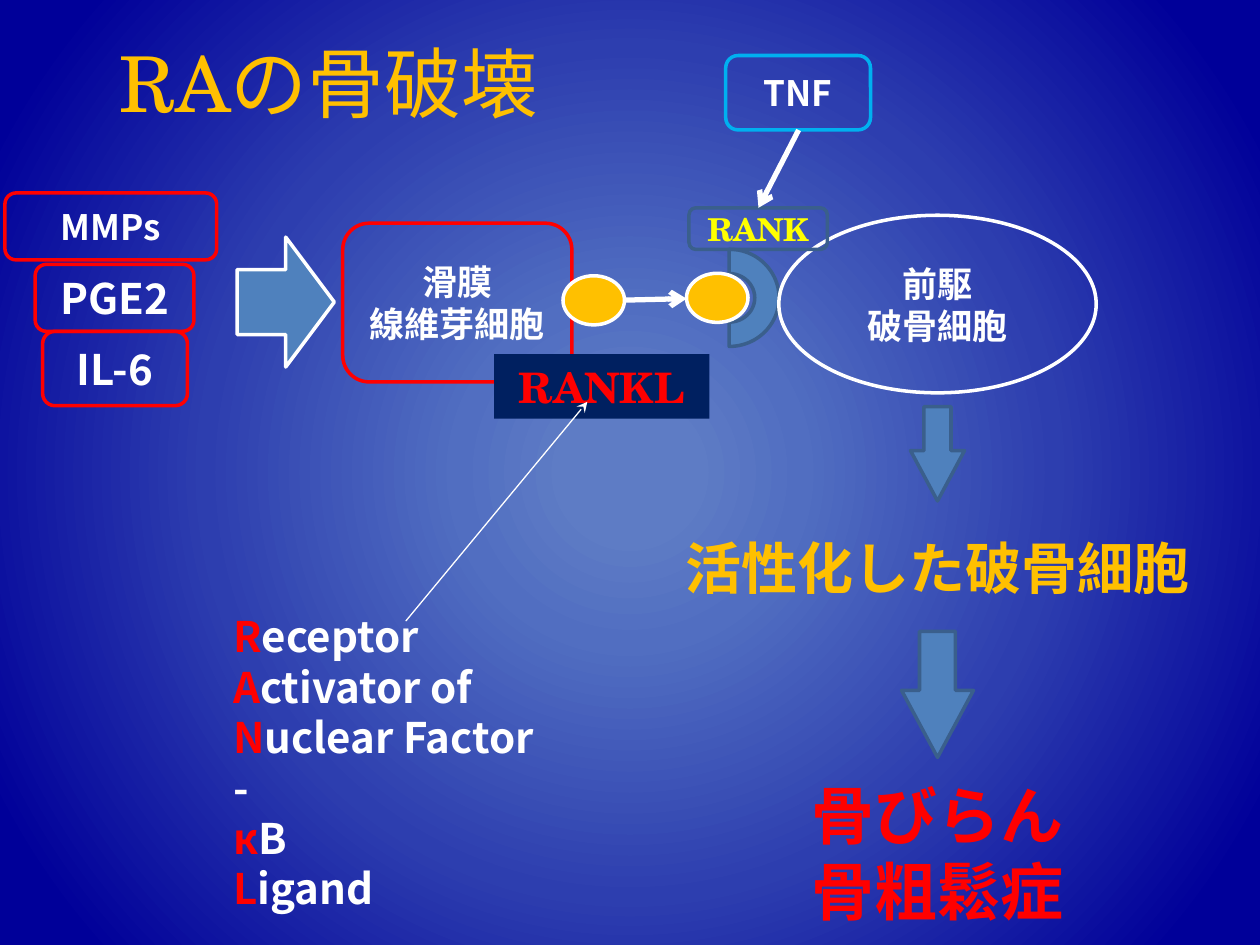
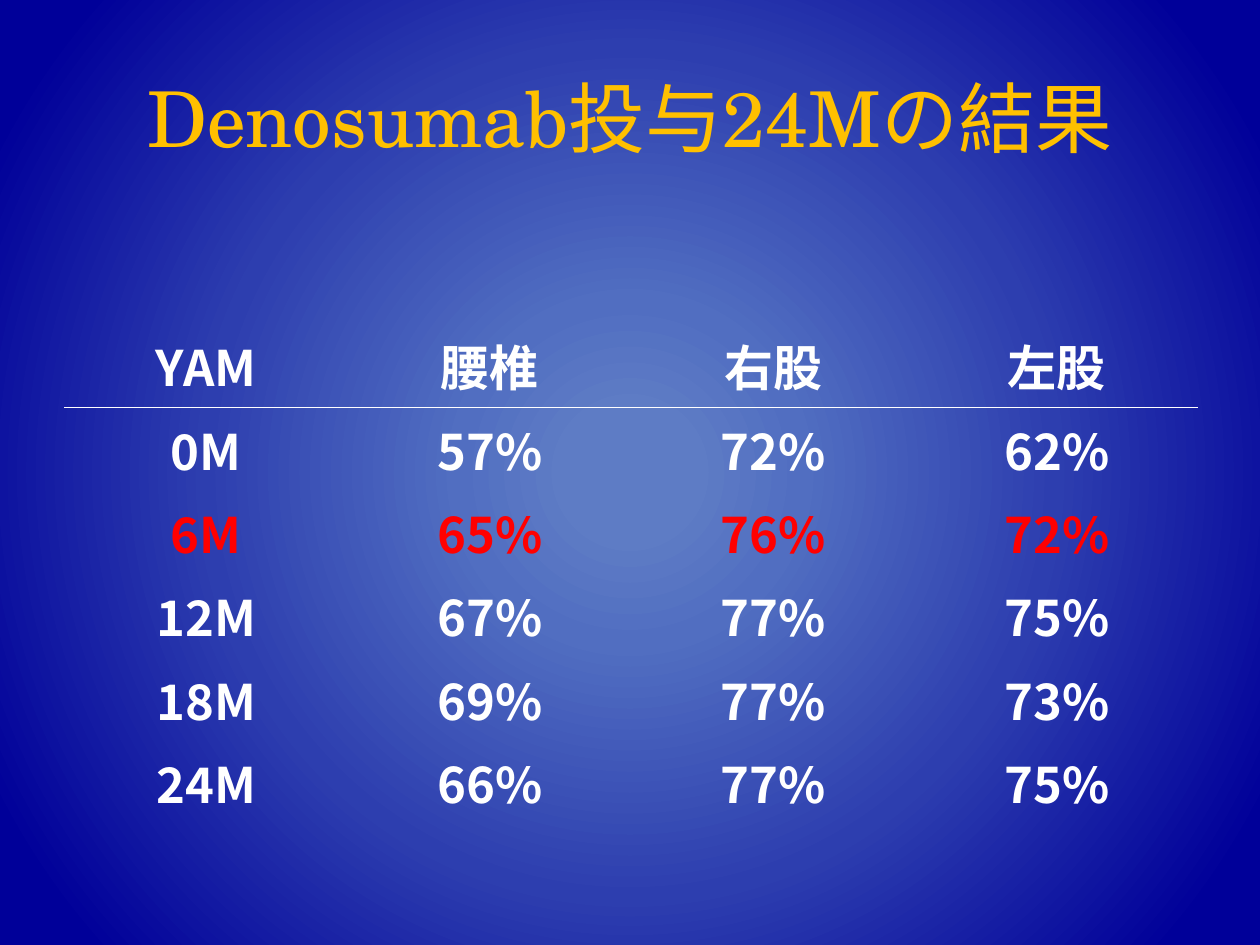
from pptx import Presentation
from pptx.dml.color import RGBColor
from pptx.enum import shapes, text
from pptx.oxml import parse_xml
from pptx.oxml.ns import nsdecls, qn
from pptx.util import Cm, Pt
from lxml import etree

HUES = {
    "white": "FFFFFF", "red": "FF0000", "gold": "FFC000", "yellow": "FFFF00",
    "navy": "002060", "steel": "4F81BD", "edge": "3A5F8C", "sky": "00B0F0",
}
GLOW = [(8, "5E7CC5"), (22, "516EC1"), (54, "2D3EAF"), (91, "000099")]
SERIF, SANS = "TeX Gyre Schola", "Noto Sans CJK JP"
PLAIN = "{2D5ABB26-0587-4C30-8999-92F81FD0307C}"
KIND = shapes.MSO_SHAPE
MID, LEFT = text.PP_ALIGN.CENTER, text.PP_ALIGN.LEFT


def hue(name):
    return RGBColor.from_string(HUES[name])


def glow(master):
    """Radial background shared by all slides."""
    master.background.fill.solid()
    stops = "".join(
        f'<a:gs pos="{pos * 1000}"><a:srgbClr val="{tone}"/></a:gs>'
        for pos, tone in GLOW)
    grad = parse_xml(
        f'<a:gradFill {nsdecls("a")} rotWithShape="1"><a:gsLst>{stops}</a:gsLst>'
        '<a:path path="circle"><a:fillToRect l="50000" t="50000" r="50000" '
        'b="50000"/></a:path></a:gradFill>')
    base = next(master.element.iter(qn("p:bgPr")))
    base.replace(base[0], grad)


def write(frame, lines, size, font=SANS, tone="white", bold=True, align=MID):
    """Fill a frame; a line is a string or a list of (string, colour) runs."""
    frame.word_wrap = True
    frame.vertical_anchor = text.MSO_ANCHOR.MIDDLE
    for num, line in enumerate(lines):
        para = frame.paragraphs[0] if num == 0 else frame.add_paragraph()
        para.alignment = align
        for part, shade in [(line, tone)] if isinstance(line, str) else line:
            run = para.add_run()
            run.text = part
            run.font.name = font
            run.font.size = Pt(size)
            run.font.bold = bold
            run.font.color.rgb = hue(shade)
            east = etree.SubElement(run.font._element, qn("a:ea"))
            east.set("typeface", SANS)


def label(slide, box, lines, size, **look):
    area = slide.shapes.add_textbox(*map(Cm, box))
    write(area.text_frame, lines, size, **look)
    return area.text_frame


def shape(slide, kind, box, fill=None, edge=None):
    item = slide.shapes.add_shape(kind, *map(Cm, box))
    item.shadow.inherit = False
    if fill:
        item.fill.solid()
        item.fill.fore_color.rgb = hue(fill)
    else:
        item.fill.background()
    if edge:
        item.line.color.rgb = hue(edge)
        item.line.width = Pt(2)
    else:
        item.line.fill.background()
    return item


def node(slide, box, lines, size, edge, kind=KIND.ROUNDED_RECTANGLE,
         fill=None, **look):
    item = shape(slide, kind, box, fill, edge)
    write(item.text_frame, lines, size, **look)


def arrow(slide, start, end, width=3, head="arrow"):
    line = slide.shapes.add_connector(
        shapes.MSO_CONNECTOR.STRAIGHT, *map(Cm, start + end))
    line.line.color.rgb = hue("white")
    line.line.width = Pt(width)
    etree.SubElement(line.line._get_or_add_ln(), qn("a:tailEnd")).set("type", head)
    etree.SubElement(line._element.spPr, qn("a:effectLst"))


def title(slide, box, words, align):
    label(slide, box, [words], 44, font=SERIF, tone="gold", bold=False, align=align)


def bead(slide, x, y):
    shape(slide, KIND.OVAL, (x, y, 1.24, 0.99), "gold", "white")


def causes(slide, x, y):
    """Stack of mediators with the block arrow beside it."""
    node(slide, (x + 0.76, y + 2.79, 2.92, 1.5), ["IL-6"], 24, "red")
    node(slide, (x, y, 4.27, 1.35), ["MMPs"], 20, "red")
    node(slide, (x + 0.61, y + 1.44, 3.2, 1.35), ["PGE2"], 24, "red")
    shape(slide, KIND.RIGHT_ARROW, (x + 4.68, y + 0.89, 1.96, 2.62),
          "steel", "white")


def source(slide, x, y, w, h):
    """Synovial cell that puts out the ligand."""
    node(slide, (x, y, w, h), ["滑膜", "線維芽細胞"], 20, "red", font=SERIF)
    node(slide, (x + 3.05, y + 2.64, 4.34, 1.3), ["RANKL"], 24, None,
         KIND.RECTANGLE, "navy", font=SERIF, tone="red")
    bead(slide, x + w - 0.18, y + 1.06)


def target(slide, x, y, w, h):
    """Precursor cell with its receptor and the signal acting on it."""
    cup = shape(slide, KIND.BLOCK_ARC, (x - 1.98, y + 0.66, 1.96, 2.01),
                "steel", "edge")
    cup.rotation = 90
    node(slide, (x, y, w, h), ["前駆", "破骨細胞"], 20, "white", KIND.OVAL)
    node(slide, (x - 1.81, y - 0.15, 2.79, 0.84), ["RANK"], 18, "edge",
         font=SERIF, tone="yellow")
    bead(slide, x - 1.86, y + 1.17)
    node(slide, (x - 1.07, y - 3.22, 2.92, 1.5), ["TNF"], 20, "sky")
    arrow(slide, (x + 0.4, y - 1.72), (x - 0.41, y - 0.15))


def drop(slide, mid, y, w, h):
    item = shape(slide, KIND.DOWN_ARROW, (mid - w / 2, y, w, h), "steel", "edge")
    item.adjustments[1] = 0.932


def outcome(slide, x, y, w):
    mid = x + w / 2
    drop(slide, mid, y, 1.09, 1.9)
    label(slide, (x, y + 2.16, w, 2.16), ["活性化した破骨細胞"], 32,
          font=SERIF, tone="gold")
    drop(slide, mid, y + 4.53, 1.45, 2.54)
    label(slide, (mid - 3.88, y + 7.32, 7.77, 3.33), ["骨びらん", "骨粗鬆症"], 36,
          font=SERIF, tone="red")


def legend(slide, x, y, w, h):
    """Spells out the ligand's name, initials in red."""
    terms = ["Receptor", "Activator of", "Nuclear Factor -", "кB", "Ligand"]
    lines = [[(term[0], "red"), (term[1:], "white")] for term in terms]
    frame = label(slide, (x, y, w, h), lines, 24, align=LEFT)
    frame.vertical_anchor = text.MSO_ANCHOR.TOP
    arrow(slide, (x + 3.73, y + 0.33), (x + 7.39, y - 4.09), 0.75, "stealth")


def pathway(slide):
    source(slide, 6.91, 4.5, 4.62, 3.2)
    target(slide, 15.7, 4.34, 6.4, 3.58)
    arrow(slide, (12.6, 6.05), (13.84, 6.02))
    causes(slide, 0.1, 3.89)
    outcome(slide, 13.44, 8.2, 10.92)
    title(slide, (2.16, 0.05, 15.93, 3.18), "RAの骨破壊", LEFT)
    legend(slide, 4.45, 12.19, 6.91, 5.38)


def rule(cell):
    """White line under a cell."""
    cell._tc.get_or_add_tcPr().insert(0, parse_xml(
        f'<a:lnB {nsdecls("a")} w="12700"><a:solidFill>'
        f'<a:srgbClr val="{HUES["white"]}"/></a:solidFill></a:lnB>'))


def grid(slide, rows, x, y, w, high):
    """Table with a ruled header; the 6M row is marked in red."""
    box = map(Cm, (x, y, w, high * len(rows)))
    table = slide.shapes.add_table(len(rows), len(rows[0]), *box).table
    table.horz_banding = table.first_row = False
    next(table._tbl.iter(qn("a:tableStyleId"))).text = PLAIN
    for r, row in enumerate(rows):
        for c, word in enumerate(row):
            cell = table.cell(r, c)
            cell.fill.background()
            write(cell.text_frame, [word], 28,
                  tone="red" if row[0] == "6M" else "white")
            cell.vertical_anchor = text.MSO_ANCHOR.MIDDLE
            if r == 0:
                rule(cell)


def results(slide):
    title(slide, (1.27, 0.76, 22.86, 3.18), "Denosumab投与24Mの結果", MID)
    rows = [
        ("YAM", "腰椎", "右股", "左股"),
        ("0M", "57%", "72%", "62%"),
        ("6M", "65%", "76%", "72%"),
        ("12M", "67%", "77%", "75%"),
        ("18M", "69%", "77%", "73%"),
        ("24M", "66%", "77%", "75%"),
    ]
    grid(slide, rows, 1.3, 6.53, 22.86, 1.68)


def main():
    deck = Presentation()
    deck.slide_width, deck.slide_height = Cm(25.4), Cm(19.05)
    glow(deck.slide_master)
    for build in (pathway, results):
        build(deck.slides.add_slide(deck.slide_layouts[6]))
    deck.save("out.pptx")


if __name__ == "__main__":
    main()
